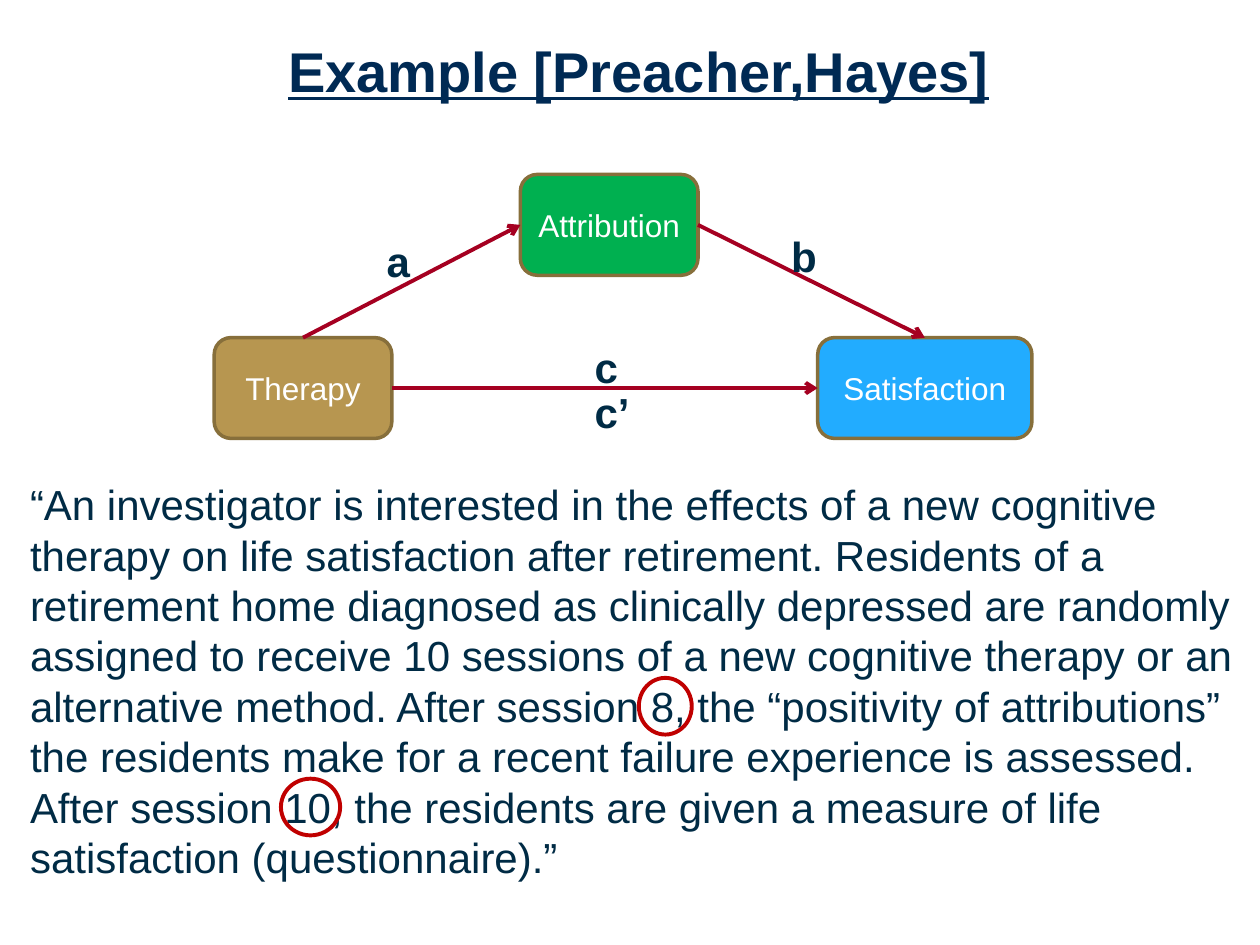
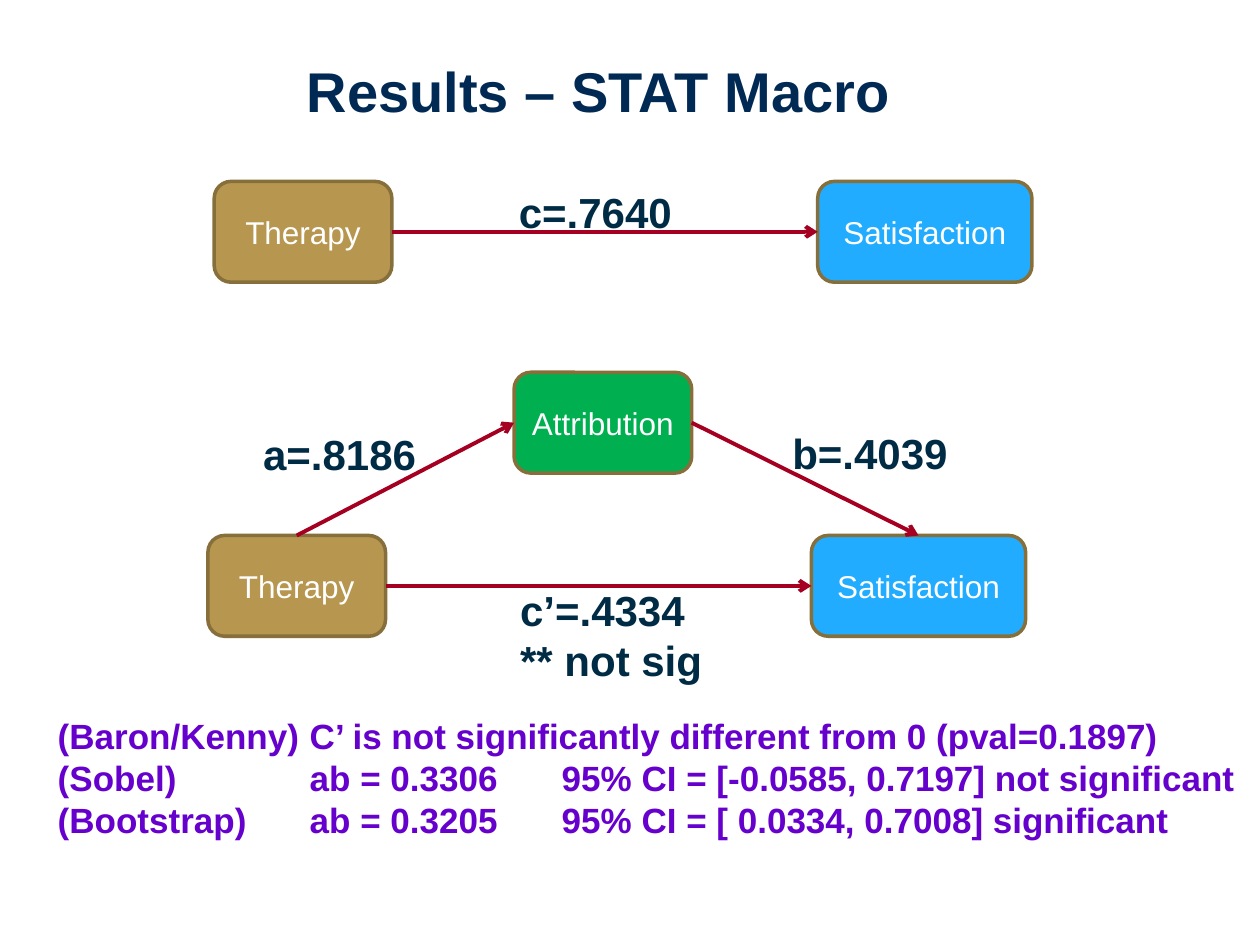
"""Build two slides on a mediation model: the example and its results."""
from dataclasses import dataclass

from lxml import etree
from pptx import Presentation
from pptx.dml.color import RGBColor
from pptx.enum.shapes import MSO_CONNECTOR as CONN, MSO_SHAPE as SHAPE
from pptx.enum.text import MSO_ANCHOR as ANCHOR, MSO_AUTO_SIZE as AUTO, PP_ALIGN as ALIGN
from pptx.oxml.ns import qn
from pptx.util import Inches, Pt

FONT = "Arial"
COLORS = {
    "title": "002A54", "text": "002B45", "white": "FFFFFF", "findings": "6600CC",
    "gold": "B79650", "blue": "22ACFF", "green": "00B050",
    "edge": "876F3B", "arrow": "A50021", "ring": "C00000",
}
TOP, LEFT, BOTTOM, RIGHT = range(4)
BOX_HEIGHT = 0.8
MEDIATOR_RISE = 1.295


@dataclass(frozen=True)
class Variable:
    """A variable of the model, with its offset from the Therapy box."""
    name: str
    color: str
    width: float
    dx: float
    dy: float


@dataclass(frozen=True)
class Label:
    """A bold path label."""
    lines: tuple[str, ...]
    left: float
    top: float
    width: float
    height: float = 0.51


@dataclass(frozen=True)
class Ring:
    """An outlined ellipse around a session number."""
    left: float
    top: float
    width: float
    height: float = 0.45


THERAPY = Variable("Therapy", "gold", 1.41, 0, 0)
SATISFACTION = Variable("Satisfaction", "blue", 1.7, 4.79, 0)
ATTRIBUTION = Variable("Attribution", "green", 1.41, 2.43, -MEDIATOR_RISE)

EXAMPLE_LABELS = (
    Label(("c",), 4.62, 2.66, 0.39),
    Label(("a",), 2.97, 1.82, 0.39),
    Label(("b",), 6.18, 1.78, 0.41),
    Label(("c’",), 4.62, 3.02, 0.48),
)
RESULT_LABELS = (
    Label(("a=.8186",), 1.99, 3.35, 1.43),
    Label(("b=.4039",), 6.19, 3.34, 1.45),
    Label(("c’=.4334", "** not sig"), 4.03, 4.59, 1.66, 0.91),
    Label(("c=.7640",), 4.02, 1.43, 1.43),
)
SESSION_RINGS = (Ring(5.07, 5.38, 0.42), Ring(2.23, 6.18, 0.47))

STUDY = (
    "“An investigator is interested in the effects of a new cognitive therapy on life "
    "satisfaction after retirement. Residents of a retirement home diagnosed as clinically "
    "depressed are randomly assigned to receive 10 sessions of a new cognitive therapy or an "
    "alternative method. After session 8, the “positivity of attributions” the residents make "
    "for a recent failure experience is assessed. After session 10, the residents are given a "
    "measure of life satisfaction (questionnaire).”"
)
FINDINGS = (
    "(Baron/Kenny)\tC’ is not significantly different from 0 (pval=0.1897)",
    "(Sobel)\tab = 0.3306\t95% CI = [-0.0585, 0.7197] not significant",
    "(Bootstrap)\tab = 0.3205\t95% CI = [ 0.0334, 0.7008] significant",
)


def rgb(name: str) -> RGBColor:
    """Look up a colour by name."""
    return RGBColor.from_string(COLORS[name])


def add_run(p, text: str, size: int, color: str, bold=False, underline=False) -> None:
    """Add one formatted run to a paragraph."""
    r = p.add_run()
    r.text = text
    f = r.font
    f.name, f.size, f.bold, f.underline = FONT, Pt(size), bold, underline
    f.color.rgb = rgb(color)


def add_text(s, lines, left, top, width, height, size=24, color="text", bold=True, wrap=False):
    """Add a text box with one paragraph per line and return its frame."""
    tf = s.shapes.add_textbox(Inches(left), Inches(top), Inches(width), Inches(height)).text_frame
    tf.word_wrap = wrap
    tf.auto_size = AUTO.SHAPE_TO_FIT_TEXT
    for i, line in enumerate(lines):
        p = tf.add_paragraph() if i else tf.paragraphs[0]
        add_run(p, line, size, color, bold)
    return tf


def add_title(s, text: str, left: float, top: float, height: float, underline=False) -> None:
    """Add the centred slide title."""
    tf = s.shapes.add_textbox(Inches(left), Inches(top), Inches(9.5), Inches(height)).text_frame
    tf.word_wrap = True
    tf.vertical_anchor = ANCHOR.MIDDLE
    tf.margin_left = tf.margin_right = tf.margin_top = tf.margin_bottom = Inches(0.05)
    p = tf.paragraphs[0]
    p.alignment, p.line_spacing = ALIGN.CENTER, 0.85
    add_run(p, text, 32, "title", True, underline)


def add_variable(s, variable: Variable, left: float, top: float):
    """Add a variable's box relative to the Therapy corner."""
    sp = s.shapes.add_shape(
        SHAPE.ROUNDED_RECTANGLE, Inches(left + variable.dx), Inches(top + variable.dy),
        Inches(variable.width), Inches(BOX_HEIGHT))
    sp.shadow.inherit = False
    sp.fill.solid()
    sp.fill.fore_color.rgb = rgb(variable.color)
    sp.line.color.rgb = rgb("edge")
    sp.line.width = Pt(2)
    tf = sp.text_frame
    tf.word_wrap = True
    tf.vertical_anchor = ANCHOR.MIDDLE
    p = tf.paragraphs[0]
    p.alignment = ALIGN.CENTER
    add_run(p, variable.name, 18, "white")
    return sp


def add_arrow(s, start, start_side: int, end, end_side: int) -> None:
    """Join two boxes with an arrow."""
    cx = s.shapes.add_connector(CONN.STRAIGHT, 0, 0, 0, 0)
    cx.begin_connect(start, start_side)
    cx.end_connect(end, end_side)
    cx.line.color.rgb = rgb("arrow")
    cx.line.width = Pt(2.25)
    etree.SubElement(cx.line._get_or_add_ln(), qn("a:tailEnd"), type="arrow")
    etree.SubElement(cx._element.spPr, qn("a:effectLst"))


def add_model(s, left: float, top: float, mediated=True) -> None:
    """Draw the direct path and, if mediated, the path through Attribution."""
    therapy = add_variable(s, THERAPY, left, top)
    satisfaction = add_variable(s, SATISFACTION, left, top)
    add_arrow(s, therapy, RIGHT, satisfaction, LEFT)
    if mediated:
        attribution = add_variable(s, ATTRIBUTION, left, top)
        add_arrow(s, therapy, TOP, attribution, LEFT)
        add_arrow(s, attribution, RIGHT, satisfaction, TOP)


def add_labels(s, labels: tuple[Label, ...]) -> None:
    """Add the path labels."""
    for label in labels:
        add_text(s, label.lines, label.left, label.top, label.width, label.height)


def add_ring(s, ring: Ring) -> None:
    """Circle a session number."""
    sp = s.shapes.add_shape(SHAPE.OVAL, Inches(ring.left), Inches(ring.top),
                            Inches(ring.width), Inches(ring.height))
    sp.shadow.inherit = False
    sp.fill.background()
    sp.line.color.rgb = rgb("ring")
    sp.line.width = Pt(2.25)


def set_tabs(p, stops: tuple[float, ...]) -> None:
    """Set left tab stops on a paragraph."""
    tabs = etree.SubElement(p._p.get_or_add_pPr(), qn("a:tabLst"))
    for stop in stops:
        etree.SubElement(tabs, qn("a:tab"), pos=str(Inches(stop)), algn="l")


def build_example(s) -> None:
    """Build the example slide."""
    add_title(s, "Example [Preacher,Hayes]", 0.32, 0.3, 0.59, underline=True)
    add_model(s, 1.7, 2.68)
    add_labels(s, EXAMPLE_LABELS)
    add_text(s, (STUDY,), 0.14, 3.75, 9.86, 3.33, bold=False, wrap=True)
    for ring in SESSION_RINGS:
        add_ring(s, ring)


def build_results(s) -> None:
    """Build the results slide."""
    add_title(s, "Results – STAT Macro", 0, 0.47, 0.57)
    add_model(s, 1.65, 4.25)
    add_model(s, 1.7, 1.44, mediated=False)
    add_labels(s, RESULT_LABELS)
    tf = add_text(s, FINDINGS, 0.36, 5.62, 9.62, 1.11, size=20, color="findings")
    for p in tf.paragraphs:
        set_tabs(p, (2, 4))


def main() -> None:
    """Build and save the presentation."""
    prs = Presentation()
    prs.slide_width, prs.slide_height = Inches(10), Inches(7.5)
    for build in (build_example, build_results):
        build(prs.slides.add_slide(prs.slide_layouts[6]))
    prs.save("out.pptx")


if __name__ == "__main__":
    main()
